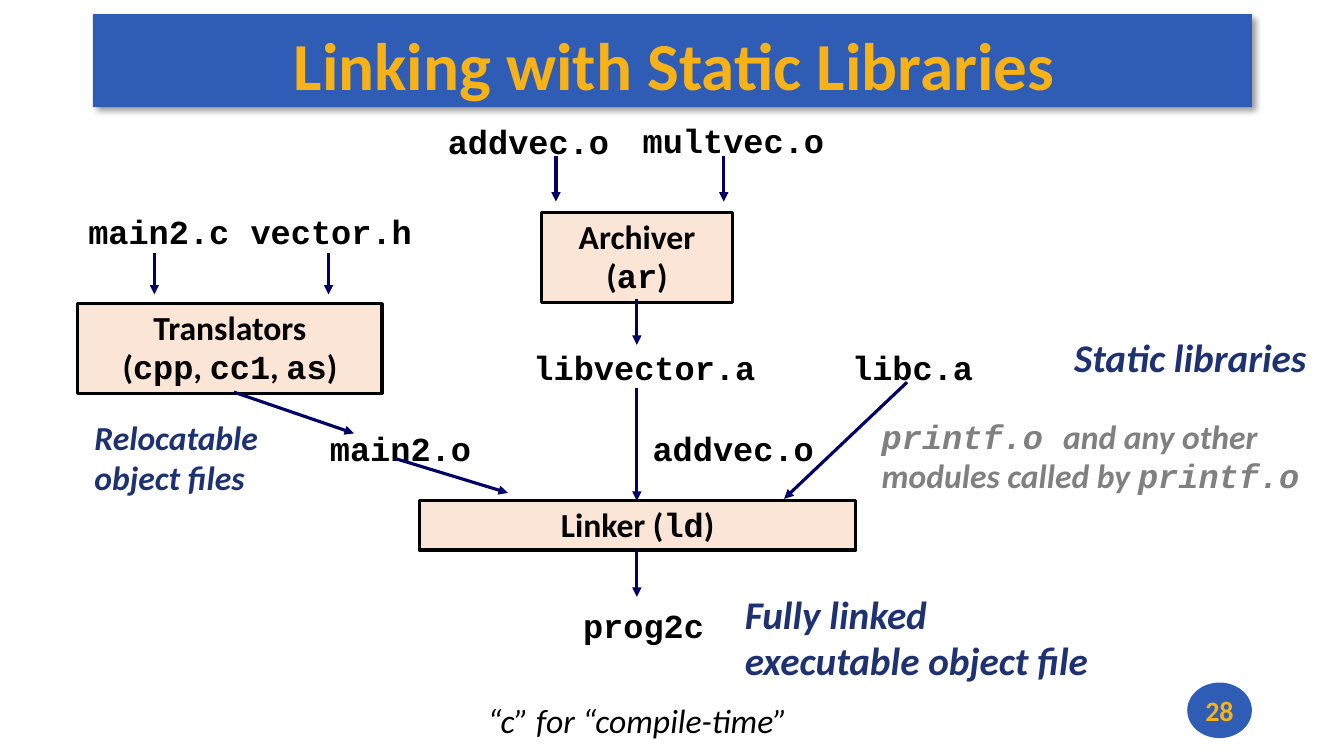
from lxml.etree import SubElement
from pptx import Presentation
from pptx.dml.color import RGBColor
from pptx.enum.shapes import MSO_CONNECTOR, MSO_SHAPE
from pptx.enum.text import MSO_ANCHOR, MSO_AUTO_SIZE, PP_ALIGN
from pptx.oxml.ns import qn
from pptx.util import Cm, Pt

BLACK, NAVY, GREY = "000000", "1E3272", "808080"
BLUE, GOLD, PEACH, ARROW = "2F5CB5", "F7B217", "FBE5D6", "000066"


def color(hex):
    """Turn a hex string into a colour."""
    return RGBColor.from_string(hex)


def apply(item, values):
    """Set every attribute named in a dict."""
    for name, value in values.items():
        setattr(item, name, value)


def write(shape, lines, size, hue, bold=True, italic=False, align=PP_ALIGN.LEFT,
          space=None, **frame):
    """Fill a shape with lines, where backticks mark code."""
    text = shape.text_frame
    apply(text, {"vertical_anchor": MSO_ANCHOR.TOP, **frame})
    for index, line in enumerate(lines):
        para = text.add_paragraph() if index else text.paragraphs[0]
        apply(para, {"alignment": align})
        if space:
            para.line_spacing = 0.94 if line.startswith("`") else space
        for turn, part in enumerate(line.split("`")):
            if part:
                run = para.add_run()
                run.text = part
                face = "Courier New" if turn % 2 else "Calibri"
                apply(run.font, {"name": face, "size": Pt(size), "bold": bold, "italic": italic})
                run.font.color.rgb = color(hue)


def shape(slide, kind, place, fill, line=None):
    """Add a filled preset shape without a shadow."""
    item = slide.shapes.add_shape(kind, *map(Cm, place))
    item.shadow.inherit = False
    item.fill.solid()
    item.fill.fore_color.rgb = color(fill)
    if line:
        item.line.color.rgb = color(line)
        item.line.width = Pt(2.25)
    else:
        item.line.fill.background()
    return item


def tool(slide, place, *lines):
    """Add a box for one build tool."""
    item = shape(slide, MSO_SHAPE.RECTANGLE, place, PEACH, BLACK)
    write(item, lines, 24, BLACK, align=PP_ALIGN.CENTER, space=0.98, word_wrap=True)


def note(slide, place, lines, size, hue, **style):
    """Add a text box that keeps its lines unwrapped."""
    item = slide.shapes.add_textbox(*map(Cm, place))
    write(item, lines, size, hue, word_wrap=False,
          auto_size=MSO_AUTO_SIZE.SHAPE_TO_FIT_TEXT, **style)


def label(slide, left, top, name):
    """Add a file name in code type, as wide as its letters."""
    place = (left, top, 0.508 * len(name) + 0.53, 1.22)
    note(slide, place, [f"`{name}`"], 24, BLACK, align=PP_ALIGN.CENTER, space=0.94)


def arrow(slide, *ends):
    """Draw an arrow between two points."""
    item = slide.shapes.add_connector(MSO_CONNECTOR.STRAIGHT, *map(Cm, ends))
    item.line.color.rgb = color(ARROW)
    item.line.width = Pt(2.25)
    SubElement(item.line._get_or_add_ln(), qn("a:tailEnd"), type="triangle")
    SubElement(item.element.spPr, qn("a:effectLst"))


def header(slide, text):
    """Place the title over a shadowed banner."""
    title = slide.shapes.title
    spot = {"left": 2.31, "top": 0.51, "width": 29.18, "height": 2.18}
    apply(title, {side: Cm(size) for side, size in spot.items()})
    write(title, [text], 48, GOLD, align=PP_ALIGN.CENTER, word_wrap=True,
          vertical_anchor=MSO_ANCHOR.MIDDLE, auto_size=MSO_AUTO_SIZE.NONE,
          margin_left=Cm(0.2), margin_right=0, margin_top=Cm(0.08), margin_bottom=Cm(0.08))
    banner = shape(slide, MSO_SHAPE.RECTANGLE, (2.34, 0.36, 29.21, 2.34), BLUE)
    effects = banner.element.spPr.find(qn("a:effectLst"))
    shade = SubElement(effects, qn("a:outerShdw"), blurRad=str(Pt(4)), dist=str(Pt(3)),
                       dir="2700000", algn="tl", rotWithShape="0")
    tint = SubElement(shade, qn("a:srgbClr"), val=BLACK)
    SubElement(tint, qn("a:alpha"), val="40000")
    title.element.addprevious(banner.element)


def badge(slide, number):
    """Add the round page number."""
    item = shape(slide, MSO_SHAPE.OVAL, (29.92, 17.2, 1.63, 1.4), BLUE)
    write(item, [number], 20, GOLD, align=PP_ALIGN.CENTER, word_wrap=False,
          vertical_anchor=MSO_ANCHOR.MIDDLE, margin_left=0, margin_right=0)


def main():
    """Build the slide and save it."""
    deck = Presentation()
    apply(deck, {"slide_width": Cm(33.87), "slide_height": Cm(19.05)})
    slide = deck.slides.add_slide(deck.slide_layouts[5])
    header(slide, "Linking with Static Libraries")

    tool(slide, (1.96, 7.65, 7.67, 2.26), "Translators", "(`cpp`, `cc1`, `as`)")
    tool(slide, (13.64, 5.36, 4.83, 2.26), "Archiver", "(`ar`)")
    tool(slide, (10.57, 12.62, 11, 1.24), "Linker (`ld`)")

    for left, top, name in [
        (11.02, 3, "addvec.o"), (15.93, 2.97, "multvec.o"),
        (1.96, 5.28, "main2.c"), (6.05, 5.28, "vector.h"),
        (13.18, 8.71, "libvector.a"), (21.21, 8.71, "libc.a"),
        (8.05, 10.74, "main2.o"), (16.18, 10.74, "addvec.o"),
        (14.43, 15.19, "prog2c"),
    ]:
        label(slide, left, top, name)

    for x in (3.89, 8.28):
        arrow(slide, x, 6.38, x, 7.42)
    for x in (14.01, 18.24):
        arrow(slide, x, 3.94, x, 5.08)
    for start, end in [(7.54, 8.69), (9.78, 12.62), (13.87, 15.04)]:
        arrow(slide, 16.05, start, 16.05, end)
    arrow(slide, 5.89, 9.88, 8.92, 10.92)
    arrow(slide, 9.98, 11.56, 12.8, 12.42)
    arrow(slide, 22.86, 9.63, 19.76, 12.57)

    for place, lines, size, hue in [
        ((26.82, 8.33, 6.43, 1.45), ["Static libraries"], 28, NAVY),
        ((2.13, 10.44, 4.67, 2.29), ["Relocatable", "object files"], 24, NAVY),
        ((21.97, 10.44, 11.61, 2.24),
         ["`printf.o `and any other", "modules called by `printf.o`"], 24, GREY),
        ((18.52, 14.81, 9.25, 2.62), ["Fully linked", "executable object file"], 28, NAVY),
    ]:
        note(slide, place, lines, size, hue, italic=True, space=0.98)
    note(slide, (12.04, 17.5, 8.15, 1.27), ["“c” for “compile-time”"], 24, BLACK,
         bold=False, italic=True)
    badge(slide, "28")
    deck.save("out.pptx")


if __name__ == "__main__":
    main()
